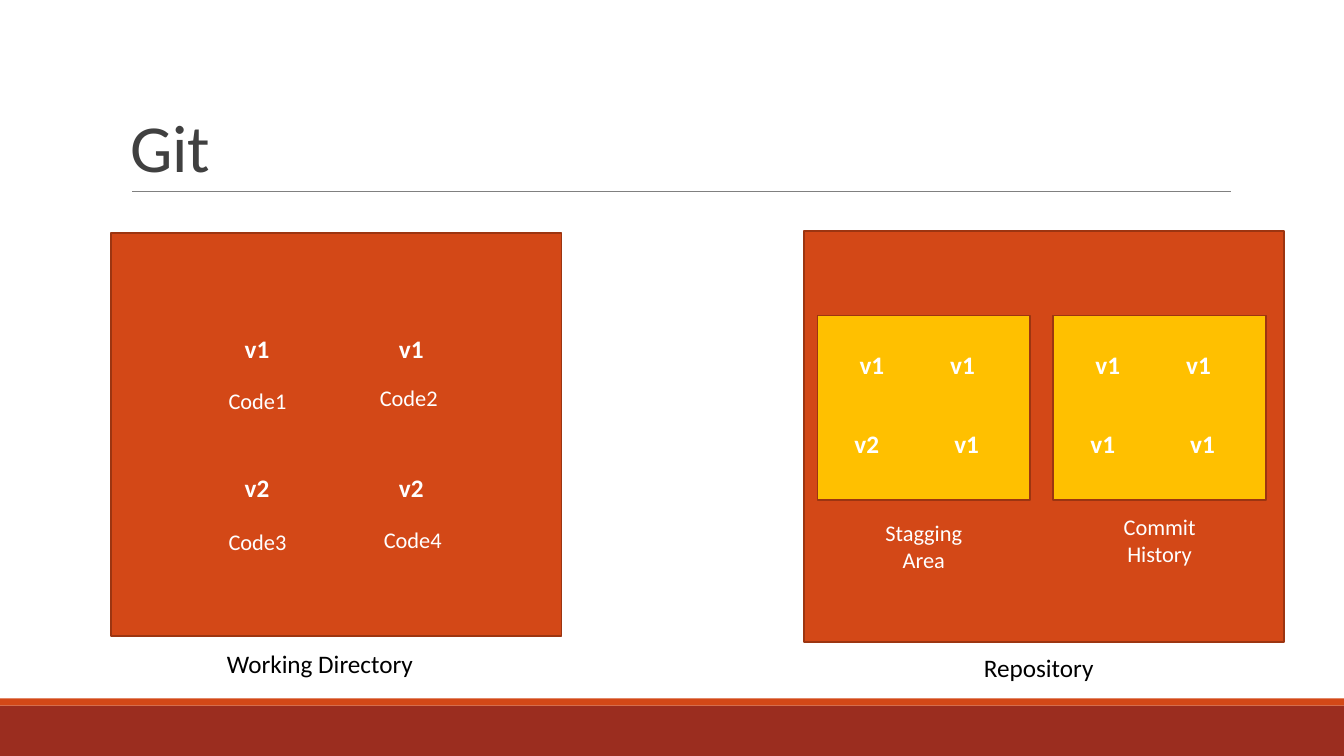
from typing import NamedTuple

from lxml import etree
from pptx import Presentation
from pptx.dml.color import RGBColor
from pptx.enum.shapes import MSO_CONNECTOR as Connector, MSO_SHAPE as Shape
from pptx.enum.text import MSO_ANCHOR as Anchor, PP_ALIGN as Align
from pptx.oxml.ns import qn
from pptx.util import Inches, Pt

COLORS = {
    "white": "FFFFFF",
    "black": "000000",
    "title": "404040",
    "rule": "808080",
    "orange": "D34817",
    "outline": "9C3511",
    "yellow": "FFC000",
    "footer": "9B2D1F",
}
COLUMNS, ROWS = 40, 30
WIDTH, HEIGHT = Inches(40 / 3), Inches(7.5)
CAPTION = (8.01, 1.6)
VERSION = (2.82, 1.6)


class Box(NamedTuple):
    column: float
    row: float
    columns: float
    rows: float

    def inside(self, column, row, columns, rows):
        return Box(self.column + column, self.row + row, columns, rows)

    def lengths(self):
        return (
            round(self.column * WIDTH / COLUMNS),
            round(self.row * HEIGHT / ROWS),
            round(self.columns * WIDTH / COLUMNS),
            round(self.rows * HEIGHT / ROWS),
        )


def color(name):
    return RGBColor.from_string(COLORS[name])


def add_outline(shape, name):
    shape.line.color.rgb = color(name)
    shape.line.width = Pt(1.25)


def add_panel(page, box, fill, outline=None):
    panel = page.shapes.add_shape(Shape.RECTANGLE, *box.lengths())
    panel.shadow.inherit = False
    panel.fill.solid()
    panel.fill.fore_color.rgb = color(fill)
    if outline:
        add_outline(panel, outline)
    else:
        panel.line.fill.background()


def add_text(page, box, text, size=18, ink="white", bold=False, align=Align.CENTER,
             anchor=Anchor.TOP, line_spacing=None, tracking=None, outline=None):
    shape = page.shapes.add_textbox(*box.lengths())
    if outline:
        add_outline(shape, outline)
    frame = shape.text_frame
    frame.word_wrap = True
    frame.vertical_anchor = anchor
    for index, line in enumerate(text.split("\n")):
        para = frame.add_paragraph() if index else frame.paragraphs[0]
        para.alignment = align
        if line_spacing:
            para.line_spacing = line_spacing
        span = para.add_run()
        span.text = line
        span.font.name = "Calibri"
        span.font.size = Pt(size)
        span.font.bold = bold
        span.font.color.rgb = color(ink)
        if tracking:
            span.font._element.set("spc", str(round(tracking * 100)))


def add_versions(page, box, versions, columns, rows, outline=None):
    for index, (version, column) in enumerate(zip(versions, columns)):
        add_text(page, box.inside(column, rows[index // 2], *VERSION), version,
                 bold=True, outline=outline)


def add_heading(page, box):
    add_text(page, box, "Git", size=48, ink="title", align=Align.LEFT,
             anchor=Anchor.BOTTOM, line_spacing=0.85, tracking=-0.5)
    left, top, width, _ = box.inside(0.33, box.rows, 32.7, 0).lengths()
    rule = page.shapes.add_connector(Connector.STRAIGHT, left, top, left + width, top)
    rule.line.color.rgb = color("rule")
    rule.line.width = Pt(0.5)
    etree.SubElement(rule._element.spPr, qn("a:effectLst"))


def add_footer(page, box):
    strip = 0.28
    add_panel(page, box.inside(0, strip, box.columns, box.rows - strip), "footer")
    add_panel(page, box.inside(0, 0, box.columns, strip), "orange")


def add_working_directory(page, box):
    add_panel(page, box, "orange", "outline")
    add_text(page, box.inside(2.22, box.rows + 0.28, *CAPTION), "Working Directory", ink="black")
    add_versions(page, box, ("v1", "v1", "v2", "v2"), (2.94, 7.53) * 2, (3.8, 9.32),
                 outline="orange")
    files = (("Code1", 0.36, 5.92), ("Code2", 4.86, 5.8),
             ("Code3", 0.36, 11.52), ("Code4", 4.98, 11.44))
    for name, column, row in files:
        add_text(page, box.inside(column, row, 8.01, 1.48), name, size=16)


def add_store(page, box, label, label_row, versions):
    add_panel(page, box, "yellow", "outline")
    add_versions(page, box, versions, (0.21, 2.91, 0.06, 3.03), (1.16, 4.28))
    add_text(page, box.inside(-0.84, label_row, 8.01, 2.56), label, size=16)


def add_repository(page, box):
    add_panel(page, box, "orange", "outline")
    add_text(page, box.inside(2.97, box.rows + 0.2, *CAPTION), "Repository", ink="black")
    stores = (("Stagging\nArea", 7.88, ("v1", "v1", "v2", "v1")),
              ("Commit\nHistory", 7.64, ("v1",) * 4))
    for index, store in enumerate(stores):
        add_store(page, box.inside(0.39 + 7.02 * index, 3.36, 6.33, 7.32), *store)


def main():
    deck = Presentation()
    deck.slide_width, deck.slide_height = WIDTH, HEIGHT
    page = deck.slides.add_slide(deck.slide_layouts[6])
    page.background.fill.solid()
    page.background.fill.fore_color.rgb = color("white")
    add_footer(page, Box(0, 27.72, COLUMNS, 2.28))
    add_heading(page, Box(3.6, 1.24, 33, 6.36))
    add_working_directory(page, Box(3.3, 9.24, 13.41, 16))
    add_repository(page, Box(23.94, 9.16, 14.28, 16.32))
    deck.save("out.pptx")


if __name__ == "__main__":
    main()
